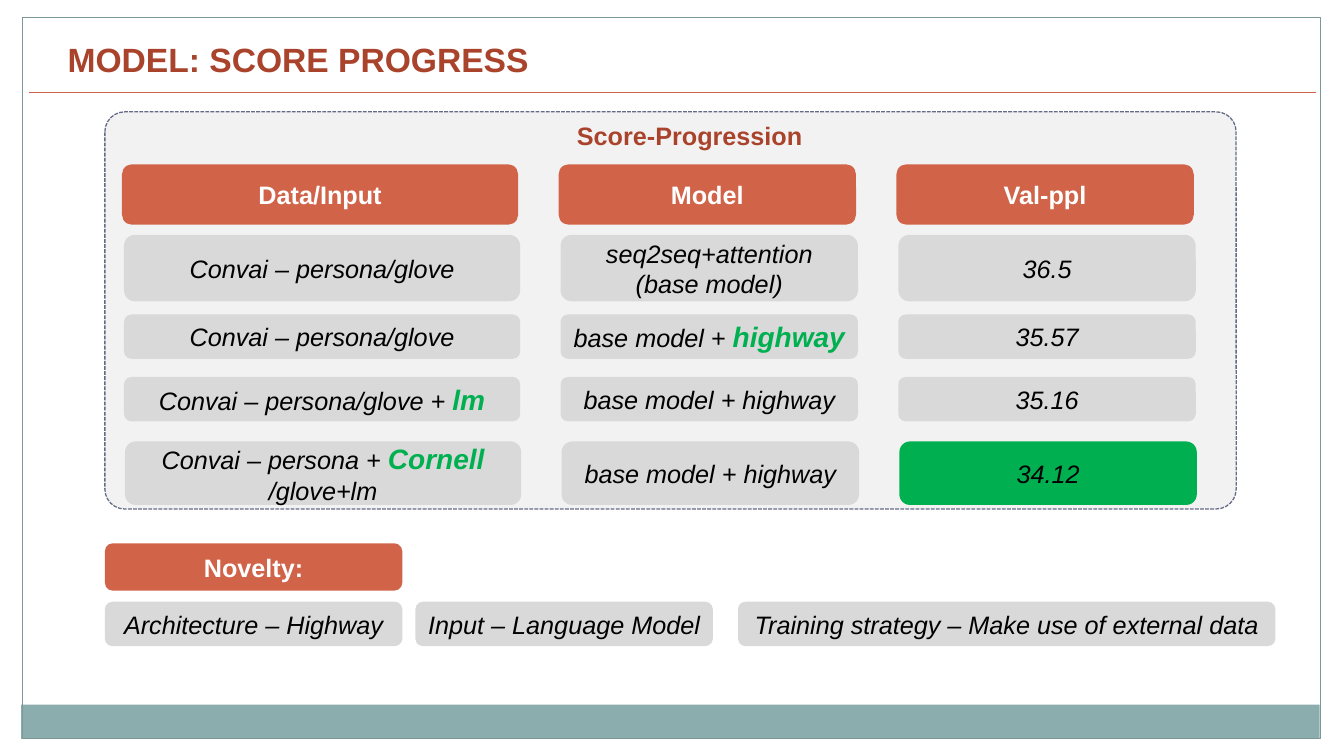
from lxml.etree import SubElement as Sub
from pptx import Presentation
from pptx.dml.color import RGBColor as Rgb
from pptx.enum.dml import MSO_LINE as Dash
from pptx.enum.shapes import MSO_CONNECTOR as Conn, MSO_SHAPE as Geo
from pptx.enum.text import MSO_ANCHOR as Anchor, PP_ALIGN as Align
from pptx.oxml.ns import qn
from pptx.util import Inches, Pt

HUES = {
    "teal": "8CADAE", "frame": "7C999A", "rust": "A9432B", "head": "D16349",
    "panel": "F2F2F2", "edge": "646B86", "cell": "D9D9D9", "green": "00B050",
    "white": "FFFFFF", "black": "000000",
}
FONTS = {
    "title": ({"size": Pt(24), "bold": True, "italic": False}, "rust"),
    "label": ({"size": Pt(18), "bold": True, "italic": False}, "rust"),
    "head": ({"size": Pt(18), "bold": True, "italic": False}, "white"),
    "cell": ({"size": Pt(18), "bold": False, "italic": True}, "black"),
    "mark": ({"size": Pt(20), "bold": True, "italic": True}, "green"),
}


def hue(name):
    return Rgb.from_string(HUES[name])


class Deck:
    """Holds the style and the current slide."""

    def __init__(self):
        self.prs = Presentation()
        self.prs.slide_width = Inches(13.33)
        self.prs.slide_height = Inches(7.5)
        self.slide = self.prs.slides.add_slide(self.prs.slide_layouts[5])
        self.shapes = self.slide.shapes

    def put_text(self, frame, text, style, align=Align.CENTER, anchor=Anchor.MIDDLE):
        """Set one paragraph; parts between asterisks are marked."""
        frame.word_wrap = True
        frame.vertical_anchor = anchor
        para = frame.paragraphs[0]
        para.alignment = align
        for i, part in enumerate(text.split("*")):
            if not part:
                continue
            run = para.add_run()
            run.text = part
            form, tint = FONTS["mark" if i % 2 else style]
            for key, val in form.items():
                setattr(run.font, key, val)
            run.font.name = "Arial"
            run.font.color.rgb = hue(tint)

    def title(self, text, *box):
        shape = self.shapes.title
        for key, val in zip(("left", "top", "width", "height"), box):
            setattr(shape, key, Inches(val))
        frame = shape.text_frame
        for side in ("left", "top", "right", "bottom"):
            setattr(frame, "margin_" + side, 0)
        self.put_text(frame, text, "title", Align.LEFT)

    def block(self, geo, *box, fill=None, line=None, width=0.75, dash=None):
        shape = self.shapes.add_shape(geo, *map(Inches, box))
        shape.shadow.inherit = False
        if fill:
            shape.fill.solid()
            shape.fill.fore_color.rgb = hue(fill)
        else:
            shape.fill.background()
        if line:
            shape.line.color.rgb = hue(line)
            shape.line.width = Pt(width)
            if dash:
                shape.line.dash_style = dash
        else:
            shape.line.fill.background()
        return shape

    def card(self, text, *box, style="cell", fill="cell"):
        shape = self.block(Geo.ROUNDED_RECTANGLE, *box, fill=fill)
        self.put_text(shape.text_frame, text, style)

    def label(self, text, *box):
        shape = self.shapes.add_textbox(*map(Inches, box))
        self.put_text(shape.text_frame, text, "label", anchor=Anchor.TOP)

    def rule(self, *ends):
        line = self.shapes.add_connector(Conn.STRAIGHT, *map(Inches, ends))
        line.line.color.rgb = hue("head")
        line.line.width = Pt(0.75)
        Sub(line._element.spPr, qn("a:effectLst"))


# Columns: left, width. Rows: top, height, sideways shift, texts.
COLS = [(1.23, 3.93), (5.56, 2.95), (8.91, 2.95)]
ROWS = [
    (1.63, 0.6, -0.02, ["Data/Input", "Model", "Val-ppl"]),
    (2.33, 0.66, 0, ["Convai – persona/glove", "seq2seq+attention (base model)", "36.5"]),
    (3.12, 0.44, 0, ["Convai – persona/glove", "base model + *highway*", "35.57"]),
    (3.74, 0.44, 0, ["Convai – persona/glove + *lm*", "base model + highway", "35.16"]),
    (4.38, 0.63, 0.01, ["Convai – persona + *Cornell* /glove+lm", "base model + highway", "34.12"]),
]
NOVEL = [
    (1.04, 2.95, "Architecture – Highway"),
    (4.12, 2.95, "Input – Language Model"),
    (7.32, 5.33, "Training strategy – Make use of external data"),
]


def main():
    deck = Deck()

    # Frame, bottom band and title
    deck.block(Geo.RECTANGLE, 0.21, 6.99, 12.88, 0.34, fill="teal")
    deck.block(Geo.RECTANGLE, 0.22, 0.17, 12.88, 7.16, line="frame")
    deck.title("MODEL: SCORE PROGRESS", 0.67, 0.27, 10.52, 0.64)
    deck.rule(0.29, 0.92, 13.05, 0.92)

    # Score panel
    panel = deck.block(Geo.ROUNDED_RECTANGLE, 1.04, 1.11, 11.22, 3.94,
                       fill="panel", line="edge", width=0.9, dash=Dash.SQUARE_DOT)
    panel.adjustments[0] = 0.05
    deck.label("Score-Progression", 5.25, 1.14, 3.18, 0.56)

    # Score grid, best value in green
    for row, (top, high, shift, texts) in enumerate(ROWS):
        style = "cell" if row else "head"
        for (left, wide), text in zip(COLS, texts):
            fill = "green" if text == "34.12" else style
            deck.card(text, left + shift, top, wide, high, style=style, fill=fill)

    # Novelty
    deck.card("Novelty:", 1.04, 5.39, 2.95, 0.47, style="head", fill="head")
    for left, wide, text in NOVEL:
        deck.card(text, left, 5.97, wide, 0.44)

    deck.prs.save("out.pptx")


if __name__ == "__main__":
    main()
